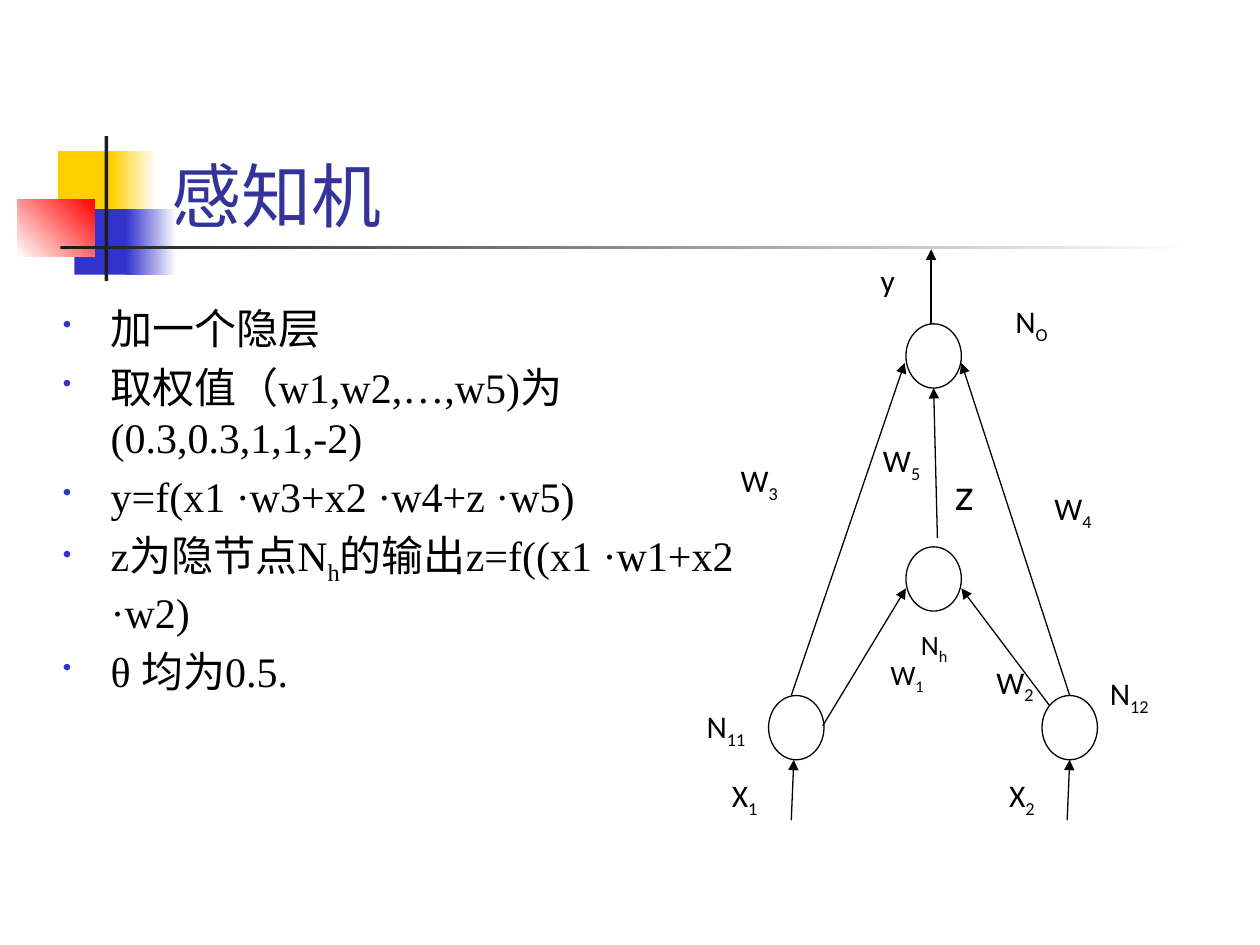
"""Build the perceptron slide: a bullet list beside a network with one hidden node."""
from dataclasses import dataclass

from lxml.etree import SubElement
from pptx import Presentation
from pptx.dml.color import RGBColor
from pptx.enum.shapes import MSO_CONNECTOR, MSO_SHAPE
from pptx.enum.text import MSO_ANCHOR, MSO_AUTO_SIZE, PP_ALIGN
from pptx.oxml.ns import qn
from pptx.util import Inches, Pt


@dataclass(frozen=True)
class Theme:
    black: str = "000000"
    white: str = "FFFFFF"
    gold: str = "FFCF01"
    blue: str = "3333CC"
    red: str = "FF0000"
    dark: str = "1C1C1C"
    navy: str = "333399"
    head: int = 40
    body: int = 24
    label: int = 18
    small: int = 16
    line: float = 0.75
    serif: str = "Times New Roman"
    sans: str = "Calibri"
    lato: str = "Lato"
    asian: str = "Noto Sans CJK SC"


theme = Theme()


def add_shape(kind, box, fill, end=None, angle=0):
    shape = slide.shapes.add_shape(kind, *map(Inches, box))
    shape.shadow.inherit = False
    shape.line.fill.background()
    if end:
        shape.fill.gradient()
        shape.fill.gradient_angle = angle
        for stop, tone in zip(shape.fill.gradient_stops, (fill, end)):
            stop.color.rgb = RGBColor.from_string(tone)
    else:
        shape.fill.solid()
        shape.fill.fore_color.rgb = RGBColor.from_string(fill)
    return shape


def write(par, text, name, size, tone=theme.black):
    look = {"name": name, "size": Pt(size), "bold": False}
    for place, piece in enumerate(text.split("|")):
        if not piece:
            continue
        run = par.add_run()
        run.text = piece
        for key, value in look.items():
            setattr(run.font, key, value)
        run.font.color.rgb = RGBColor.from_string(tone)
        props = run.font._element
        SubElement(props, qn("a:ea"), typeface=theme.asian)
        if place % 2:
            props.set("baseline", "-25000")


deck = Presentation()
deck.slide_width, deck.slide_height = Inches(10), Inches(7.5)
slide = deck.slides.add_slide(deck.slide_layouts[5])

for box, *fill in [
    ((0.46, 1.2, 0.48, 0.52), theme.gold),
    ((0.88, 1.2, 0.36, 0.52), theme.gold, theme.white),
    ((0.59, 1.66, 0.46, 0.52), theme.blue),
    ((1, 1.66, 0.4, 0.52), theme.blue, theme.white),
    ((0.14, 1.58, 0.61, 0.46), theme.white, theme.red, 45),
    ((0.83, 1.08, 0.03, 1.15), theme.dark),
    ((0.48, 1.95, 9, 0.03), theme.dark, theme.white),
]:
    add_shape(MSO_SHAPE.RECTANGLE, box, *fill)

title = slide.shapes.title
place = {"left": 1.26, "top": 0.68, "width": 8.52, "height": 1.25}
for key, value in place.items():
    setattr(title, key, Inches(value))
frame = title.text_frame
format = {
    "word_wrap": True,
    "auto_size": MSO_AUTO_SIZE.NONE,
    "vertical_anchor": MSO_ANCHOR.BOTTOM,
}
for key, value in format.items():
    setattr(frame, key, value)
frame.paragraphs[0].alignment = PP_ALIGN.LEFT
write(frame.paragraphs[0], "感知机", theme.asian, theme.head, theme.navy)

points = [
    "加一个隐层",
    "取权值（w1,w2,…,w5)为(0.3,0.3,1,1,-2)",
    "y=f(x1 ·w3+x2 ·w4+z ·w5)",
    "z为隐节点N|h|的输出z=f((x1 ·w1+x2 ·w2)",
    "θ 均为0.5.",
]
frame = slide.shapes.add_textbox(*map(Inches, (0.4, 2.35, 5.57, 4.5))).text_frame
frame.word_wrap = True
for count, point in enumerate(points):
    par = frame.add_paragraph() if count else frame.paragraphs[0]
    props = par._p.get_or_add_pPr()
    props.set("marL", str(Inches(0.38)))
    props.set("indent", str(-Inches(0.38)))
    SubElement(SubElement(props, qn("a:buClr")), qn("a:srgbClr"), val=theme.blue)
    SubElement(props, qn("a:buSzPct"), val="60000")
    SubElement(props, qn("a:buChar"), char="•")
    par.space_before = Pt(0.2 * theme.body if count else 0)
    write(par, point, theme.serif, theme.body)

for text, box, size in [
    ("W|1", (6.97, 5.17, 0.55, 0.32), theme.small),
    ("W|2", (7.81, 5.21, 0.73, 0.53), theme.label),
    ("W|5", (6.91, 3.45, 0.83, 0.73), theme.label),
    ("y", (6.89, 2.02, 0.43, 0.47), theme.label),
    ("X|1", (5.71, 6.11, 0.51, 0.39), theme.label),
    ("X|2", (7.91, 6.11, 0.52, 0.55), theme.label),
    ("N|11", (5.51, 5.56, 0.55, 0.41), theme.label),
    ("N|12", (8.71, 5.3, 0.86, 0.73), theme.label),
    ("N|O", (7.96, 2.35, 0.86, 0.73), theme.label),
    ("W|3", (5.78, 3.61, 0.83, 0.73), theme.label),
    ("W|4", (8.27, 3.83, 0.83, 0.73), theme.label),
    ("N|h", (7.21, 4.93, 0.61, 0.31), theme.small),
]:
    frame = add_shape(MSO_SHAPE.RECTANGLE, box, theme.white).text_frame
    frame.word_wrap = True
    frame.vertical_anchor = MSO_ANCHOR.TOP
    frame.paragraphs[0].alignment = PP_ALIGN.JUSTIFY
    write(frame.paragraphs[0], text, theme.sans, size)

for left, top in [(7.19, 2.57), (7.19, 4.34), (6.1, 5.52), (8.27, 5.52)]:
    node = add_shape(MSO_SHAPE.OVAL, (left, top, 0.44, 0.51), theme.white)
    node.line.color.rgb = RGBColor.from_string(theme.black)
    node.line.width = Pt(theme.line)

for ends in [
    (6.28, 6.51, 6.3, 6.03),
    (8.47, 6.51, 8.49, 6.03),
    (6.53, 5.76, 7.19, 4.67),
    (8.33, 5.6, 7.63, 4.67),
    (6.28, 5.52, 7.18, 2.88),
    (8.49, 5.52, 7.63, 2.88),
    (7.39, 2.57, 7.39, 1.98),
    (7.44, 4.27, 7.41, 3.08),
]:
    arrow = slide.shapes.add_connector(MSO_CONNECTOR.STRAIGHT, *map(Inches, ends))
    arrow.line.color.rgb = RGBColor.from_string(theme.black)
    arrow.line.width = Pt(theme.line)
    SubElement(arrow.line._get_or_add_ln(), qn("a:tailEnd"), type="triangle")
    SubElement(arrow._element.spPr, qn("a:effectLst"))

frame = slide.shapes.add_textbox(*map(Inches, (7.48, 3.67, 0.29, 0.51))).text_frame
frame.word_wrap = True
write(frame.paragraphs[0], "z", theme.lato, theme.body)

deck.save("out.pptx")
